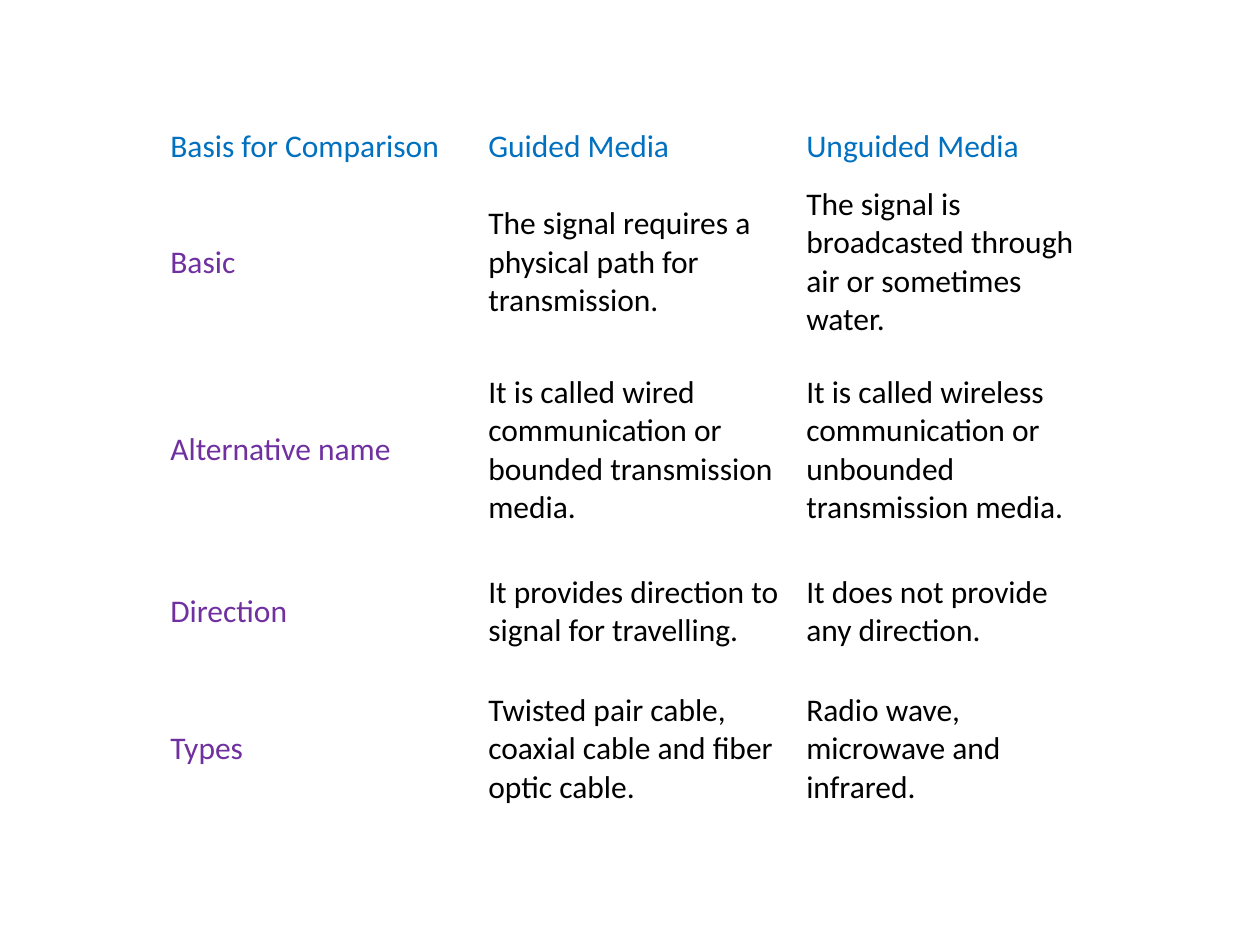
from dataclasses import dataclass

from pptx import Presentation
from pptx.dml.color import RGBColor
from pptx.enum.text import MSO_ANCHOR
from pptx.util import Cm, Pt

HEADINGS = ("Basis for Comparison", "Guided Media", "Unguided Media")
COMPARISON = [
    ("Basic",
     "The signal requires a physical path for transmission.",
     "The signal is broadcasted through air or sometimes water."),
    ("Alternative name",
     "It is called wired communication or bounded transmission media.",
     "It is called wireless communication or unbounded transmission media."),
    ("Direction",
     "It provides direction to signal for travelling.",
     "It does not provide any direction."),
    ("Types",
     "Twisted pair cable, coaxial cable and fiber optic cable.",
     "Radio wave, microwave and infrared."),
]

LEFT, TOP, COLUMN_WIDTH = Cm(3.18), Cm(2.31), Cm(6.41)
ROW_HEIGHTS = [Cm(height) for height in (1.3, 3.3, 4.22, 2.29, 3.25)]


@dataclass(frozen=True)
class Theme:
    font: str = "Calibri"
    size: Pt = Pt(18)
    heading: RGBColor = RGBColor(0x00, 0x70, 0xC0)
    basis: RGBColor = RGBColor(0x70, 0x30, 0xA0)
    body: RGBColor = RGBColor(0x00, 0x00, 0x00)


THEME = Theme()


def text_color(row, column):
    if row == 0:
        return THEME.heading
    return THEME.basis if column == 0 else THEME.body


def fill_cell(cell, text, color):
    cell.fill.background()
    cell.vertical_anchor = MSO_ANCHOR.MIDDLE
    cell.text_frame.text = text
    font = cell.text_frame.paragraphs[0].runs[0].font
    font.name, font.size, font.bold = THEME.font, THEME.size, False
    font.color.rgb = color


def add_comparison_table(page):
    rows = [HEADINGS, *COMPARISON]
    table = page.shapes.add_table(
        len(rows), len(HEADINGS), LEFT, TOP,
        COLUMN_WIDTH * len(HEADINGS), sum(ROW_HEIGHTS)).table
    table.first_row = table.horz_banding = False
    for column in table.columns:
        column.width = COLUMN_WIDTH
    for row, height in zip(table.rows, ROW_HEIGHTS):
        row.height = height
    for row, texts in enumerate(rows):
        for column, text in enumerate(texts):
            fill_cell(table.cell(row, column), text, text_color(row, column))


def main():
    deck = Presentation()
    deck.slide_width, deck.slide_height = Cm(25.4), Cm(19.05)
    page = deck.slides.add_slide(deck.slide_layouts[6])
    add_comparison_table(page)
    deck.save("out.pptx")


if __name__ == "__main__":
    main()
